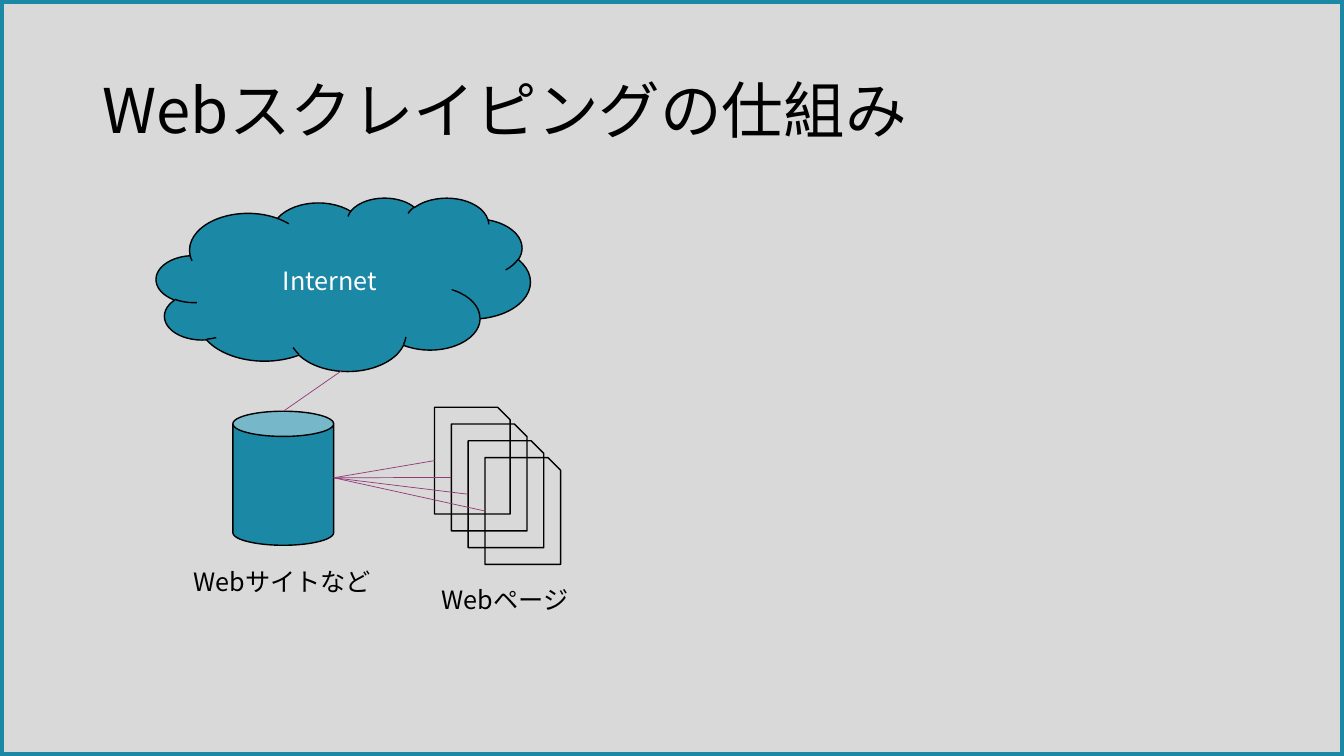
from lxml.etree import SubElement as Sub
from pptx import Presentation
from pptx.dml.color import RGBColor
from pptx.enum.shapes import MSO_CONNECTOR as Link, MSO_SHAPE as Kind
from pptx.enum.text import MSO_ANCHOR as Anchor, PP_ALIGN as Align
from pptx.oxml.ns import qn
from pptx.util import Inches, Pt


def color(code):
    return RGBColor.from_string(code)


def write(frame, text, size=18, ink="000000", font="Noto Sans CJK JP",
          align=Align.LEFT, anchor=Anchor.TOP, space=1.0):
    frame.word_wrap = True
    frame.vertical_anchor = anchor
    para = frame.paragraphs[0]
    para.alignment = align
    para.line_spacing = space
    run = para.add_run()
    run.text = text
    run.font.size = Pt(size)
    run.font.name = font
    run.font.color.rgb = color(ink)
    Sub(run.font._element, qn("a:ea"), typeface=font)


class Deck:
    """Hold the slide and its style, and draw each kind of element."""

    teal, plum, black, white, gray = "1B88A6", "933879", "000000", "FFFFFF", "D9D9D9"

    def __init__(self, wide, high):
        self.prs = Presentation()
        self.prs.slide_width = Inches(wide)
        self.prs.slide_height = Inches(high)
        self.slide = self.prs.slides.add_slide(self.prs.slide_layouts[6])
        back = self.slide.background.fill
        back.solid()
        back.fore_color.rgb = color(self.gray)

    def shape(self, kind, *box, fill=None, line=black, width=1):
        item = self.slide.shapes.add_shape(kind, *map(Inches, box))
        item.shadow.inherit = False
        if fill:
            item.fill.solid()
            item.fill.fore_color.rgb = color(fill)
        else:
            item.fill.background()
        item.line.color.rgb = color(line)
        item.line.width = Pt(width)
        return item

    def label(self, text, *box, **style):
        item = self.slide.shapes.add_textbox(*map(Inches, box))
        write(item.text_frame, text, **style)

    def link(self, *ends, page=None):
        item = self.slide.shapes.add_connector(Link.STRAIGHT, *map(Inches, ends))
        if page is not None:
            item.begin_connect(page, 1)
        item.line.color.rgb = color(self.plum)
        item.line.width = Pt(0.5)
        Sub(item._element.spPr, qn("a:effectLst"))


def main():
    wide, high = 13.33, 7.5
    deck = Deck(wide, high)
    deck.shape(Kind.RECTANGLE, 0, 0, wide, high, line=deck.teal, width=6)
    deck.label("Webスクレイピングの仕組み", 0.92, 0.4, 11.5, 1.45,
               size=44, anchor=Anchor.MIDDLE, space=0.9)

    cloud = deck.shape(Kind.CLOUD, 1.55, 1.96, 3.71, 1.72, fill=deck.teal)
    write(cloud.text_frame, "Internet", ink=deck.white,
          align=Align.CENTER, anchor=Anchor.MIDDLE)

    tall = 1.06
    spots = [(4.31 + i / 6, 4.04 + i / 6) for i in range(4)]
    pages = [deck.shape(Kind.SNIP_1_RECTANGLE, x, y, 0.75, tall) for x, y in spots]
    deck.shape(Kind.CAN, 2.31, 4.08, 1, 1.33, fill=deck.teal)

    deck.label("Webサイトなど", 1.82, 5.57, 1.99, 0.4)
    deck.label("Webページ", 4.28, 5.75, 1.48, 0.4)

    deck.link(3.4, 3.67, 2.81, 4.08)
    for page, (x, y) in zip(pages, spots):
        deck.link(x, y + tall / 2, 3.31, 4.74, page=page)
    deck.prs.save("out.pptx")


if __name__ == "__main__":
    main()
